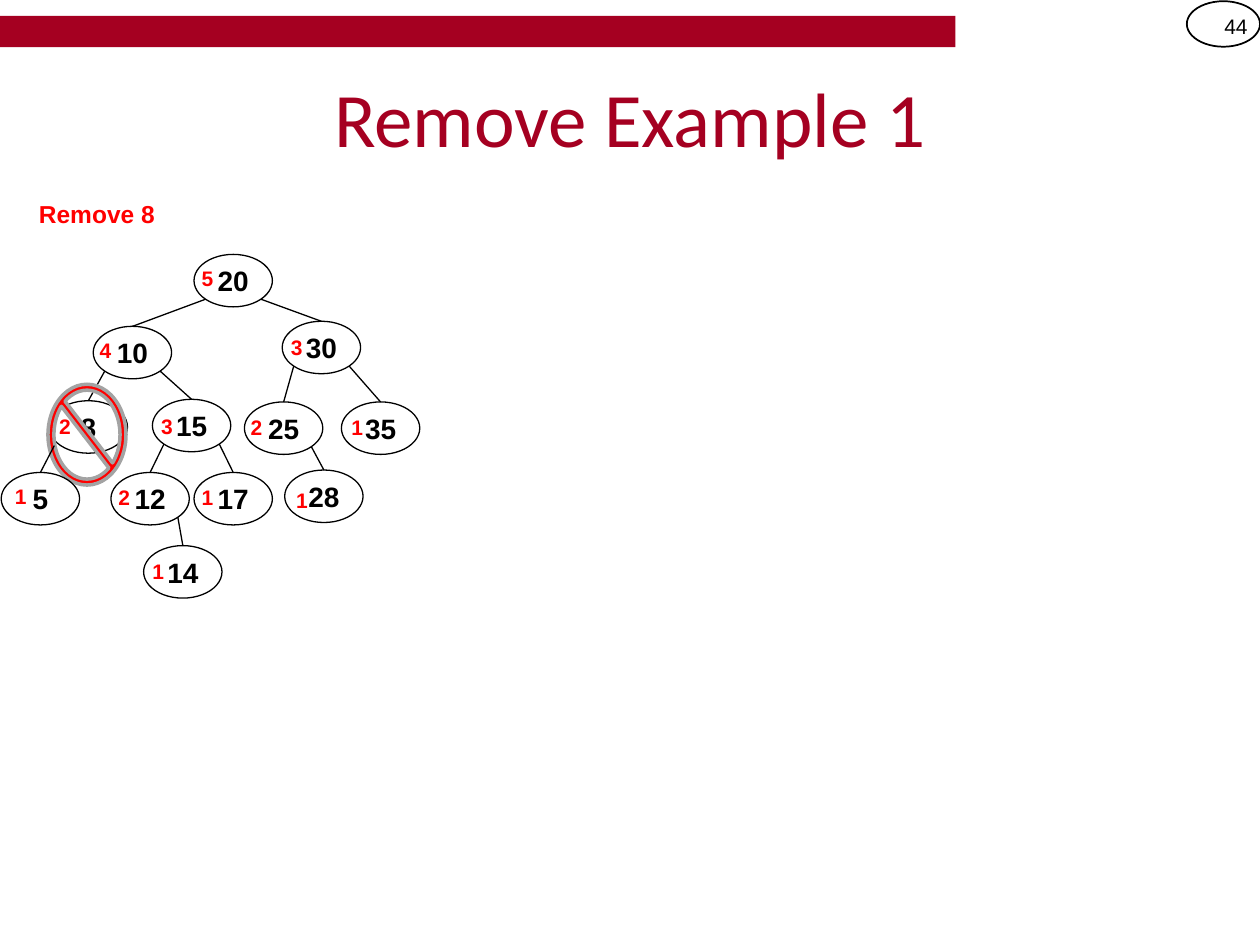
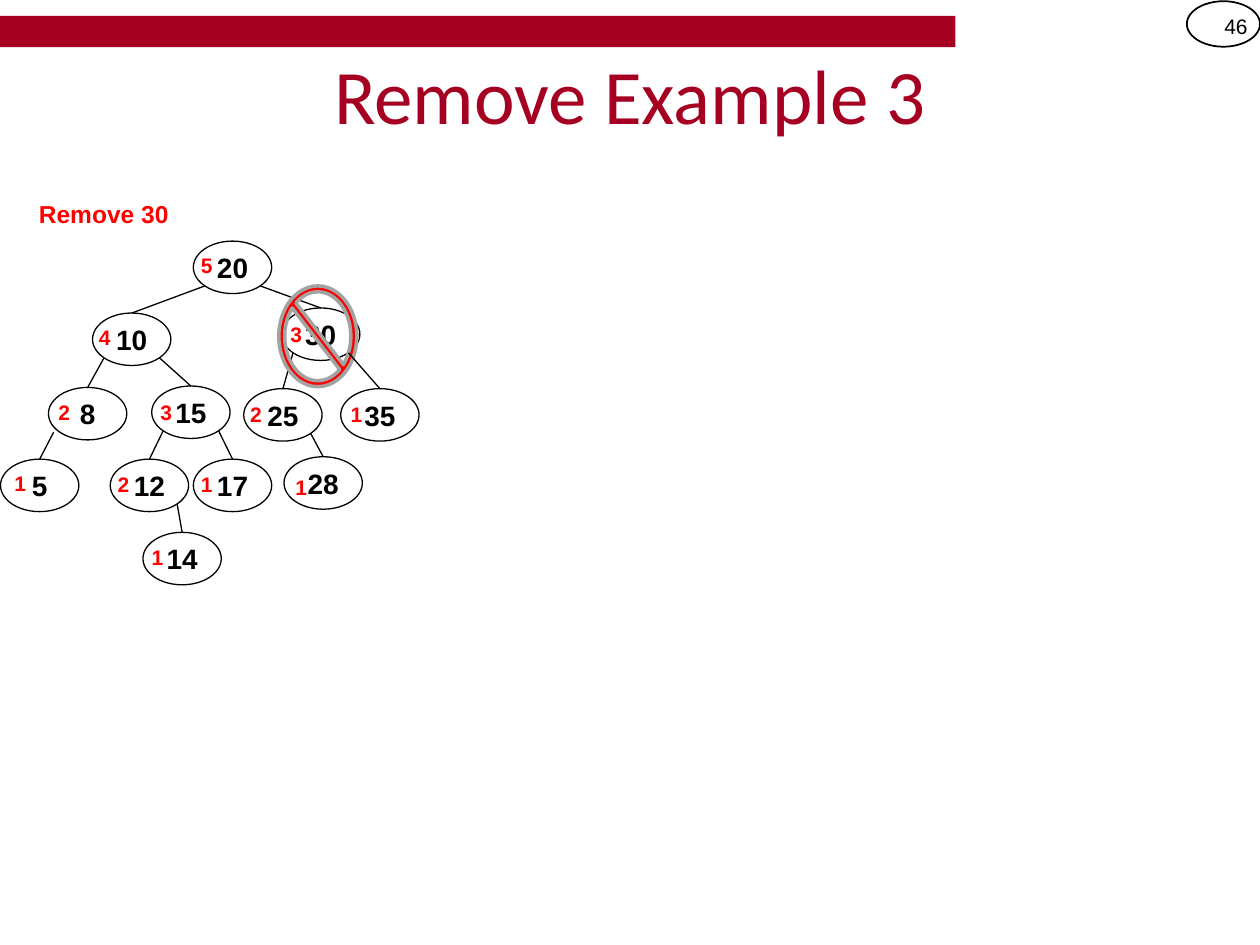
from collections import namedtuple

from lxml import etree
from pptx import Presentation
from pptx.dml.color import RGBColor
from pptx.enum.shapes import MSO_CONNECTOR, MSO_SHAPE
from pptx.enum.text import MSO_ANCHOR as ANCHOR, PP_ALIGN as ALIGN
from pptx.oxml.ns import qn
from pptx.util import Pt

CRIMSON = RGBColor(0xA5, 0x00, 0x21)
RED = RGBColor(0xFF, 0x00, 0x00)
GRAY = RGBColor(0xA3, 0xA3, 0xA3)
BLACK = RGBColor(0x00, 0x00, 0x00)
WHITE = RGBColor(0xFF, 0xFF, 0xFF)

NODE_W, NODE_H = 44.8, 30
BADGE_W, BADGE_H = 26, 21.6
SIGN_W, SIGN_H = 44.6, 57.6
DIAGONAL = 0.3536  # half of cos 45°: where an edge leaves its parent's ellipse

# Tree in drawing order; badge_right and badge_top are measured from the node's corner
Node = namedtuple("Node", "key x y height badge_right badge_top parent")
TREE = [
    Node(20, 110.9, 145.4, 5, 18, 2.9, None),
    Node(30, 161.3, 183.6, 3, 18.7, 4.3, 20),
    Node(10, 53.3, 186.5, 4, 17.3, 2.9, 20),
    Node(15, 87.1, 228.2, 3, 18.7, 4.3, 10),
    Node(25, 139.7, 229.7, 2, 17.3, 3.6, 30),
    Node(8, 28.1, 229, 2, 19.4, 3.6, 10),
    Node(12, 63.4, 270, 2, 18, 3.6, 15),
    Node(5, 0.7, 270, 1, 21.6, 2.9, 8),
    Node(14, 82.1, 311.8, 1, 18.7, 3.6, 12),
    Node(28, 162.7, 268.6, 1, 20.2, 6.5, 25),
    Node(35, 195.1, 229.7, 1, 19.4, 3.6, 30),
    Node(17, 110.9, 270, 1, 18, 3.6, 15),
]
NODES = {node.key: node for node in TREE}
SIGN_AFTER = 12      # the sign lies above this node and below the later ones
EDGE_SHIFT = {8: -3.6}  # edges from this node start further left


class Deck:
    def __init__(self):
        self.prs = Presentation()
        self.prs.slide_width, self.prs.slide_height = Pt(720), Pt(540)
        self.s = None

    def label(self, sp, text, size, color, align, bold=False, font="Arial", anchor=ANCHOR.TOP):
        tf = sp.text_frame
        tf.word_wrap = True
        tf.vertical_anchor = anchor
        tf.text = str(text)
        p = tf.paragraphs[0]
        p.alignment = align
        f = p.runs[0].font
        f.name, f.size, f.bold = font, Pt(size), bold
        f.color.rgb = color

    def text(self, box, text, size, color, align=ALIGN.LEFT, **style):
        sp = self.s.shapes.add_textbox(*map(Pt, box))
        self.label(sp, text, size, color, align, **style)

    def shape(self, kind, box, fill=None, line=None, width=0.75):
        sp = self.s.shapes.add_shape(kind, *map(Pt, box))
        sp.shadow.inherit = False
        if fill is None:
            sp.fill.background()
        else:
            sp.fill.solid()
            sp.fill.fore_color.rgb = fill
        if line is None:
            sp.line.fill.background()
        else:
            sp.line.color.rgb = line
            sp.line.width = Pt(width)
        return sp

    def slide(self, number, title, title_h):
        self.s = self.prs.slides.add_slide(self.prs.slide_layouts[6])
        # Band and slide number
        self.text((678.2, 0.7, 41.8, 28.8), number, 12, BLACK, ALIGN.RIGHT, anchor=ANCHOR.MIDDLE)
        self.shape(MSO_SHAPE.RECTANGLE, (0, 9, 546, 18), CRIMSON)
        self.shape(MSO_SHAPE.OVAL, (678.2, 0.7, 41.8, 26), line=BLACK, width=1)
        # Title
        self.text((36, 21.6, 648, title_h), title, 44, CRIMSON, ALIGN.CENTER,
                  font="Calibri", anchor=ANCHOR.MIDDLE)

    def node(self, node, dx, dy):
        x, y = node.x + dx, node.y + dy
        fill = WHITE if node.parent else None
        sp = self.shape(MSO_SHAPE.OVAL, (x, y, NODE_W, NODE_H), fill, BLACK)
        sp.text_frame.margin_left = sp.text_frame.margin_right = 0
        self.label(sp, node.key, 16, BLACK, ALIGN.CENTER, bold=True, anchor=ANCHOR.MIDDLE)
        if node.parent:
            self.edge(NODES[node.parent], node, sp, dx, dy)
        self.text((x + node.badge_right - BADGE_W, y + node.badge_top, BADGE_W, BADGE_H),
                  node.height, 12, RED, ALIGN.RIGHT, bold=True)

    def edge(self, parent, child, child_sp, dx, dy):
        side = -1 if child.x < parent.x else 1
        x1 = parent.x + dx + NODE_W * (0.5 + side * DIAGONAL) + EDGE_SHIFT.get(parent.key, 0)
        y1 = parent.y + dy + NODE_H * (0.5 + DIAGONAL)
        x2, y2 = child.x + dx + NODE_W / 2, child.y + dy
        c = self.s.shapes.add_connector(MSO_CONNECTOR.STRAIGHT, *map(Pt, (x1, y1, x2, y2)))
        c.end_connect(child_sp, 0)
        c.line.color.rgb = BLACK
        c.line.width = Pt(0.75)
        etree.SubElement(c._element.spPr, qn("a:effectLst"))

    def sign(self, x, y):
        sp = self.shape(MSO_SHAPE.NO_SYMBOL, (x, y, SIGN_W, SIGN_H), RED, GRAY, 2)
        sp.adjustments[0] = 0.076

    def tree(self, dx, dy, sign_at):
        for node in TREE:
            self.node(node, dx, dy)
            if node.key == SIGN_AFTER:
                self.sign(*sign_at)


def main():
    deck = Deck()
    # number, example, title height, removed key, tree offset, sign position
    examples = [
        (44, 1, 90, 8, (0, 0), (27.4, 219.6)),
        (46, 3, 64, 30, (-0.4, -7.6), (159.3, 163.4)),
    ]
    for number, example, title_h, key, offset, sign_at in examples:
        deck.slide(number, f"Remove Example {example}", title_h)
        deck.text((15.1, 110.2, 94.3, 24.5), f"Remove {key}", 14, RED, bold=True)
        deck.tree(*offset, sign_at)
    deck.prs.save("out.pptx")


if __name__ == "__main__":
    main()
